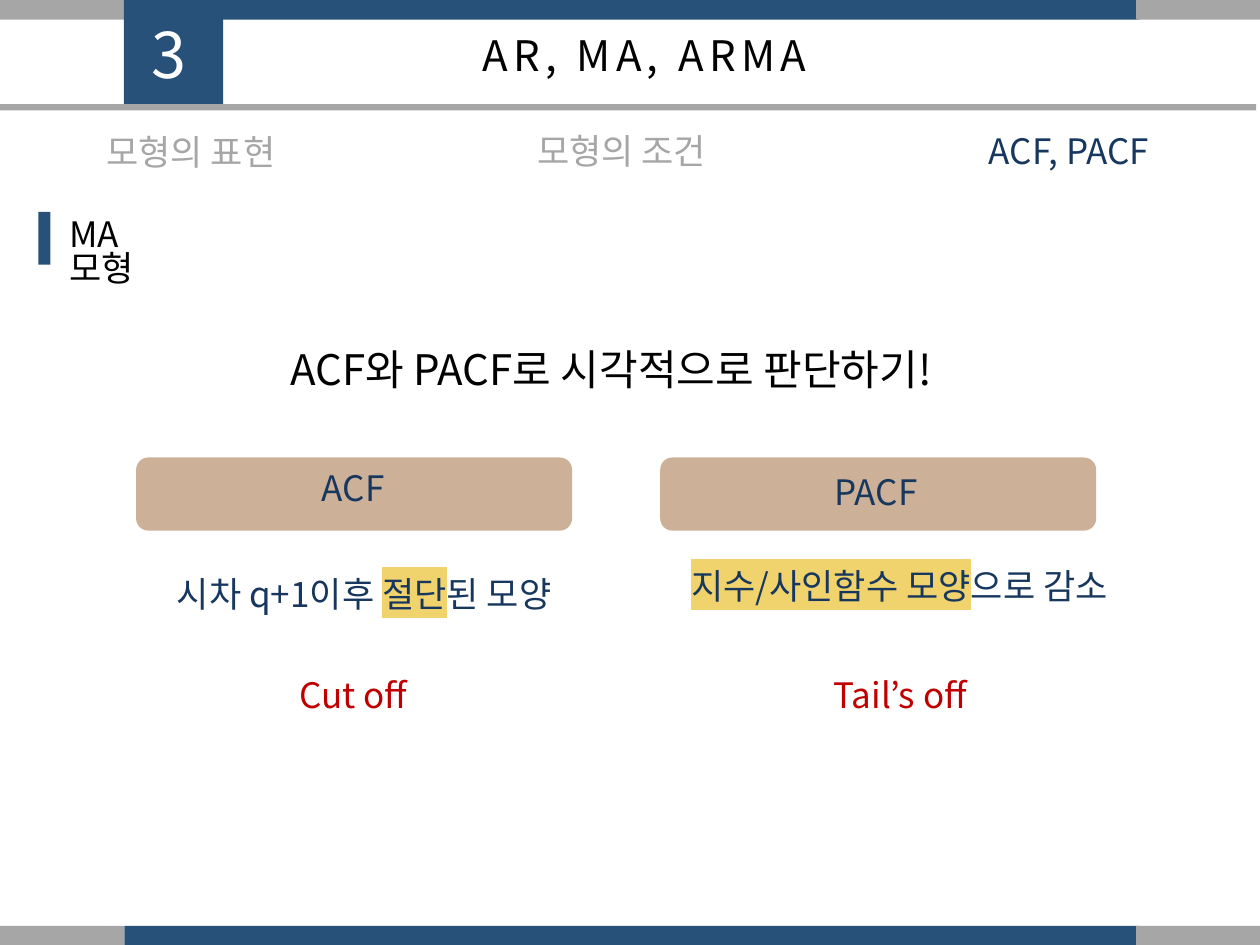
from lxml import etree
from pptx import Presentation
from pptx.dml.color import RGBColor
from pptx.enum.shapes import MSO_SHAPE
from pptx.enum.text import MSO_AUTO_SIZE, PP_ALIGN
from pptx.oxml.ns import qn
from pptx.util import Pt

RECTANGLE, ROUNDED = MSO_SHAPE.RECTANGLE, MSO_SHAPE.ROUNDED_RECTANGLE
CENTER, LEFT = PP_ALIGN.CENTER, PP_ALIGN.LEFT
GROW = MSO_AUTO_SIZE.SHAPE_TO_FIT_TEXT
FONT = "Noto Sans CJK KR"
BLUE, NAVY, GRAY, TAN = "28517A", "17375E", "A6A6A6", "CCB097"
RED, YELLOW, BLACK, WHITE = "C00000", "F0D36C", "000000", "FFFFFF"


def add_block(kind, left, top, width, height, color):
    block = page.shapes.add_shape(kind, Pt(left), Pt(top), Pt(width), Pt(height))
    block.shadow.inherit = False
    block.fill.solid()
    block.fill.fore_color.rgb = RGBColor.from_string(color)
    block.line.fill.background()


def add_label(left, top, width, height, spans, size, color, align=CENTER, spacing=0):
    """Add one paragraph; spans are (text, highlight colour or None) pairs."""
    box = page.shapes.add_textbox(Pt(left), Pt(top), Pt(width), Pt(height))
    frame = box.text_frame
    frame.word_wrap = True
    frame.auto_size = GROW
    # Tight lines pull the first baseline up; the top margin balances that.
    frame.margin_top = Pt(round(3.6 + 0.095 * size, 2))
    para = frame.paragraphs[0]
    para.alignment = align
    para.line_spacing = 0.81
    for text, highlight in spans:
        span = para.add_run()
        span.text = text
        span.font.size = Pt(size)
        span.font.name = FONT
        span.font.color.rgb = RGBColor.from_string(color)
        properties = span.font._element
        latin = properties.find(qn("a:latin"))
        east_asian = etree.Element(qn("a:ea"), typeface=FONT)
        latin.addnext(east_asian)
        if highlight:
            marker = etree.Element(qn("a:highlight"))
            etree.SubElement(marker, qn("a:srgbClr"), val=highlight)
            latin.addprevious(marker)
        if spacing:
            properties.set("spc", str(spacing * 100))


deck = Presentation()
deck.slide_width, deck.slide_height = Pt(720), Pt(540)
page = deck.slides.add_slide(deck.slide_layouts[6])

# Top and bottom bands
for top in (0, 529):
    add_block(RECTANGLE, 71, top, 580, 11.3, BLUE)
    add_block(RECTANGLE, 0, top, 71, 11.3, GRAY)
    add_block(RECTANGLE, 649.2, top, 70.8, 11.3, GRAY)

# Header and section marker
add_block(RECTANGLE, 70.8, 0, 56.7, 59.6, BLUE)
add_block(RECTANGLE, -3.6, 59.5, 721.4, 3.6, GRAY)
add_block(RECTANGLE, 22, 121, 6.8, 30.3, BLUE)
add_label(65.5, 10, 62.6, 51, [("3", None)], 36, WHITE, spacing=3)
add_label(218.2, 16.6, 300.2, 36, [("AR, MA, ARMA", None)], 24, BLACK, spacing=3)

# Navigation
for left, top, text, color in (
    (38.2, 73.4, "모형의 표현", GRAY),
    (284.4, 72.7, "모형의 조건", GRAY),
    (540, 72.7, "ACF, PACF", NAVY),
):
    add_label(left, top, 141.8, 31.5, [(text, None)], 20, color)

add_label(32.4, 120.2, 80, 31.5, [("MA 모형", None)], 20, BLACK, LEFT)
add_label(158.4, 195.8, 381.6, 36, [("ACF와 PACF로 시각적으로 판단하기!", None)], 24, BLACK)

# Comparison panels
for left in (77.8, 377.3):
    add_block(ROUNDED, left, 261.4, 249.1, 41.8, TAN)

acf_shape = [("시차 q+1이후 ", None), ("절단", YELLOW), ("된 모양", None)]
pacf_shape = [("지수/사인함수 모양", YELLOW), ("으로 감소", None)]
for left, top, width, spans, color in (
    (131, 265.7, 141.8, [("ACF", None)], NAVY),
    (429.8, 267.8, 141.8, [("PACF", None)], NAVY),
    (89.6, 326.2, 237, acf_shape, NAVY),
    (386.6, 321.8, 254.9, pacf_shape, NAVY),
    (86.4, 383.8, 231.1, [("Cut off", None)], RED),
    (443.5, 383.8, 141.8, [("Tail’s off", None)], RED),
):
    add_label(left, top, width, 31.5, spans, 20, color)

deck.save("out.pptx")
